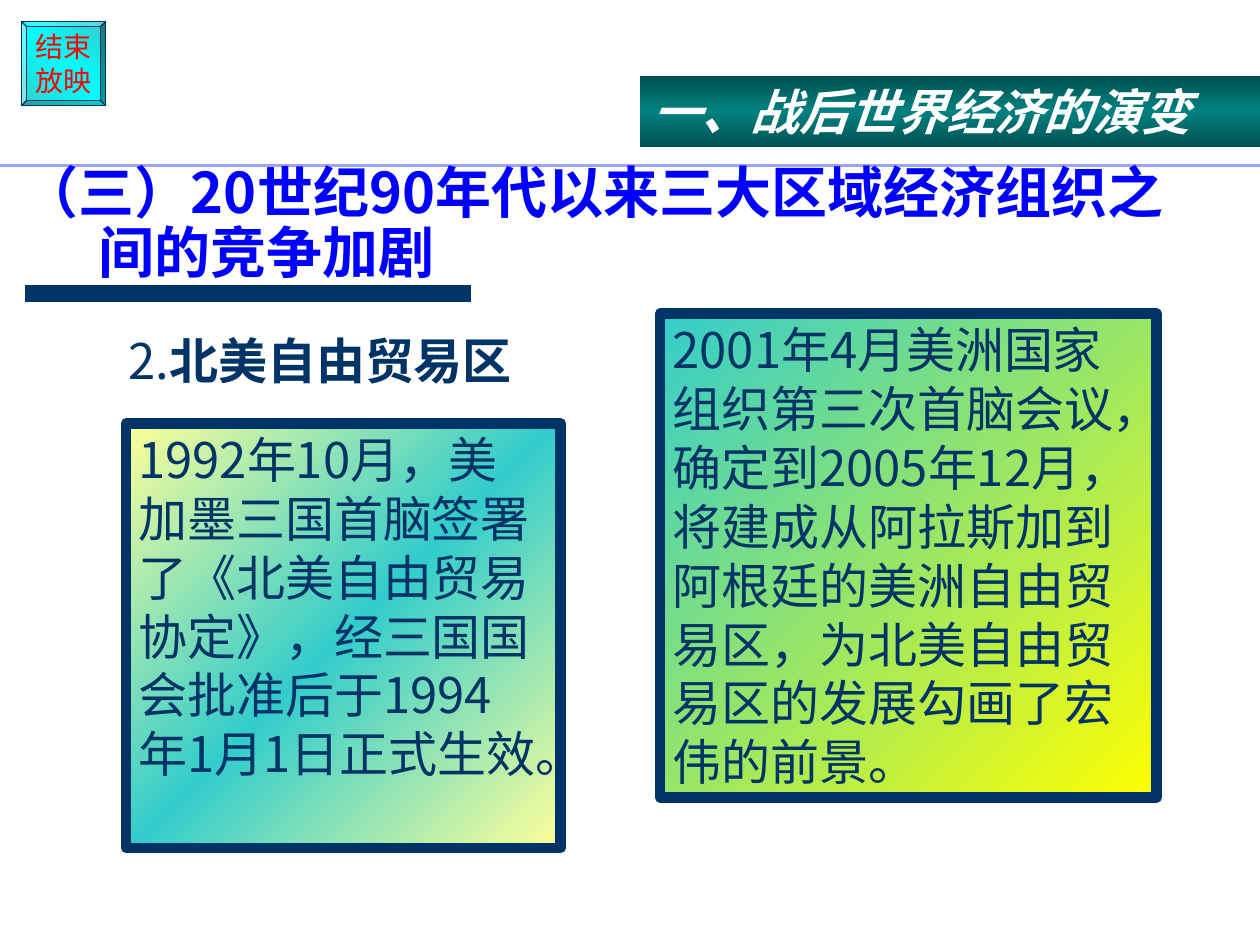
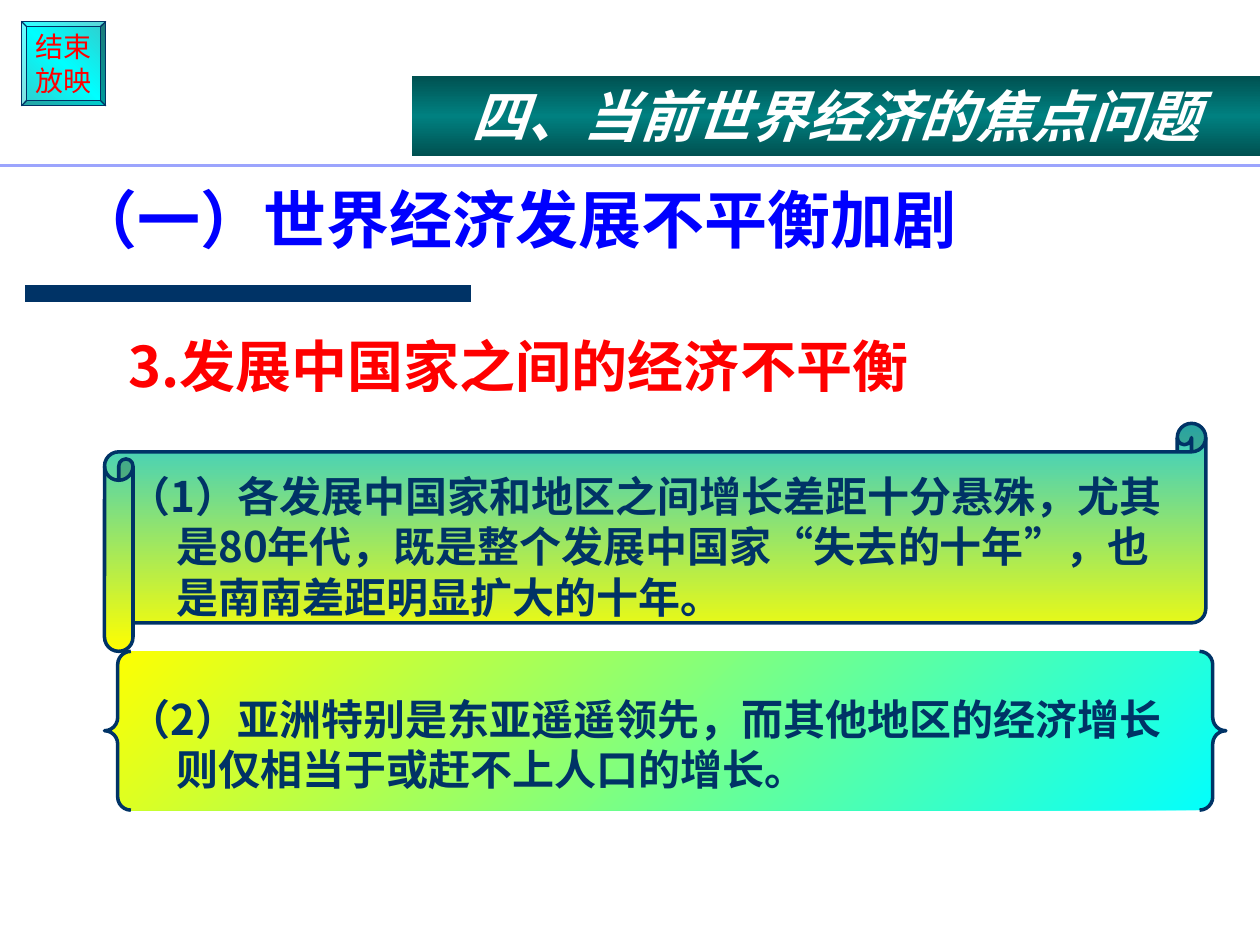
import lxml.etree
import pptx
import pptx.dml.color
import pptx.enum.shapes
import pptx.enum.text
import pptx.oxml
import pptx.oxml.ns
import pptx.util

Inches = pptx.util.Inches
RGBColor = pptx.dml.color.RGBColor
SHAPE = pptx.enum.shapes.MSO_SHAPE
ALIGN = pptx.enum.text.PP_ALIGN
ANCHOR = pptx.enum.text.MSO_ANCHOR
qn = pptx.oxml.ns.qn

NAVY = RGBColor(0x00, 0x33, 0x66)
BLUE = RGBColor(0x00, 0x00, 0xFF)
RED = RGBColor(0xFF, 0x00, 0x00)
WHITE = RGBColor(0xFF, 0xFF, 0xFF)
LAVENDER = RGBColor(0x9B, 0xA4, 0xFD)
TURQUOISE = RGBColor(0x33, 0xCC, 0xCC)
CYAN = RGBColor(0x00, 0xFF, 0xFF)
YELLOW = RGBColor(0xFF, 0xFF, 0x00)
CREAM = RGBColor(0xFF, 0xFF, 0x99)
TEAL = RGBColor(0x00, 0x80, 0x80)
DARK_TEAL = RGBColor(0x00, 0x51, 0x51)
FONT = "Noto Sans CJK SC"


def add_panel(slide, kind, box, colors, angle, line_width):
    """Add a preset shape with an evenly stepped gradient (angle clockwise)."""
    shape = slide.shapes.add_shape(kind, *[Inches(value) for value in box])
    shape.shadow.inherit = False
    shape.fill.gradient()
    gradient = shape._element.spPr.find(qn("a:gradFill"))
    stops = gradient.find(qn("a:gsLst"))
    for stop in list(stops):
        stops.remove(stop)
    for index, color in enumerate(colors):
        position = 100000 * index // (len(colors) - 1)
        stop = lxml.etree.SubElement(stops, qn("a:gs"), pos=str(position))
        lxml.etree.SubElement(stop, qn("a:srgbClr"), val=str(color))
    gradient.find(qn("a:lin")).set("ang", str(angle * 60000))
    if line_width:
        shape.line.color.rgb = NAVY
        shape.line.width = pptx.util.Pt(line_width)
    else:
        shape.line.fill.background()
    return shape


def format_paragraph(paragraph, size, color, bold=False, italic=False,
                     align=ALIGN.LEFT, hanging=0, font_name=FONT):
    paragraph.alignment = align
    properties = paragraph._p.get_or_add_pPr()
    properties.set("marL", str(Inches(hanging)))
    properties.set("indent", str(-Inches(hanging)))
    lxml.etree.SubElement(properties, qn("a:buNone"))
    font = paragraph.font
    font.name = font_name
    font.size = pptx.util.Pt(size)
    font.color.rgb = color
    font.bold = bold
    font.italic = italic
    latin = properties.find(".//" + qn("a:latin"))
    east_asian = latin.makeelement(qn("a:ea"), {"typeface": FONT})
    latin.addnext(east_asian)


# What differs between the slides
# panels: shape, box, gradient, angle, line width, adjustment, text
# paragraphs: regular text, bold text, size, colour, space before
SLIDES = [
    {
        "banner": ("一、战后世界经济的演变", 5.08, 0.57, 28, ALIGN.LEFT),
        "title": ("（三）20世纪90年代以来三大区域经济组织之\v间的竞争加剧",
                  (0.08, 1.23, 9.84, 1.09), 32, 0.6),
        "body_box": (0.92, 2.57, 4.67, 0.61),
        "paragraphs": [("2.", "北美自由贸易区", 28, NAVY, 7)],
        "panels": [
            (SHAPE.RECTANGLE, (1, 3.36, 3.45, 3.37), (CREAM, TURQUOISE, CREAM),
             225, 6, None,
             "1992年10月，美加墨三国首脑签署了《北美自由贸易协定》，"
             "经三国国会批准后于1994年1月1日正式生效。"),
            (SHAPE.RECTANGLE, (5.24, 2.49, 3.94, 3.84), (YELLOW, TURQUOISE),
             225, 6, None,
             "2001年4月美洲国家组织第三次首脑会议，确定到2005年12月，"
             "将建成从阿拉斯加到阿根廷的美洲自由贸易区，"
             "为北美自由贸易区的发展勾画了宏伟的前景。"),
        ],
    },
    {
        "banner": ("四、当前世界经济的焦点问题", 3.27, 0.64, 32, ALIGN.CENTER),
        "title": ("（一）世界经济发展不平衡加剧", (0.49, 1.29, 8.94, 0.8), 36, 0),
        "body_box": (0.92, 2.58, 8.41, 4.07),
        "paragraphs": [
            ("", "3.发展中国家之间的经济不平衡", 32, RED, 7),
            ("", "（1）各发展中国家和地区之间增长差距十分悬殊，尤其是80年代，"
             "既是整个发展中国家“失去的十年”，也是南南差距明显扩大的十年。",
             24, NAVY, 41),
            ("", "（2）亚洲特别是东亚遥遥领先，而其他地区的经济增长"
             "则仅相当于或赶不上人口的增长。", 24, NAVY, 41),
        ],
        "panels": [
            (SHAPE.DOUBLE_BRACE, (0.83, 5.17, 8.9, 1.26), (CYAN, YELLOW),
             225, 2, 0.083, ""),
            (SHAPE.HORIZONTAL_SCROLL, (0.83, 3.36, 8.74, 1.81),
             (TURQUOISE, YELLOW), 90, 2, 0.125, ""),
        ],
    },
]

presentation = pptx.Presentation()
presentation.slide_width = Inches(10)
presentation.slide_height = Inches(7.5)

for content in SLIDES:
    slide = presentation.slides.add_slide(presentation.slide_layouts[1])
    title, body = slide.placeholders[0], slide.placeholders[1]

    # Rules: thick bar under the title, thin line under the banner
    for left, right, top, color, width in [(0.2, 3.74, 2.33, NAVY, 10),
                                           (0, 10, 1.31, LAVENDER, 1.75)]:
        rule = slide.shapes.add_connector(
            pptx.enum.shapes.MSO_CONNECTOR.STRAIGHT,
            Inches(left), Inches(top), Inches(right), Inches(top))
        rule.line.color.rgb = color
        rule.line.width = pptx.util.Pt(width)
        lxml.etree.SubElement(rule._element.spPr, qn("a:effectLst"))

    # End-show button
    button = add_panel(slide, SHAPE.BEVEL, (0.17, 0.17, 0.67, 0.67),
                       (TURQUOISE, CYAN, TURQUOISE), 135, 0.75)
    button.adjustments[0] = 0.0625
    button.text_frame.text = "结束\n放映"
    button.text_frame.word_wrap = False
    button.text_frame.vertical_anchor = ANCHOR.MIDDLE
    for paragraph in button.text_frame.paragraphs:
        format_paragraph(paragraph, 16, RED, align=ALIGN.CENTER, font_name="Arial")

    # Gradient panels
    for kind, box, colors, angle, line_width, adjustment, text in content["panels"]:
        panel = add_panel(slide, kind, box, colors, angle, line_width)
        if adjustment:
            panel.adjustments[0] = adjustment
        if text:
            frame = panel.text_frame
            frame.text = text
            frame.word_wrap = True
            frame.vertical_anchor = ANCHOR.TOP
            frame.margin_right = Inches(0.2)
            format_paragraph(frame.paragraphs[0], 28, NAVY)

    # Chapter banner, running to the right edge
    text, left, height, size, align = content["banner"]
    banner = add_panel(slide, SHAPE.RECTANGLE, (left, 0.6, 10 - left, height),
                       (DARK_TEAL, TEAL, DARK_TEAL), 90, 0)
    banner.text_frame.text = text
    banner.text_frame.word_wrap = True
    banner.text_frame.vertical_anchor = ANCHOR.TOP
    format_paragraph(banner.text_frame.paragraphs[0], size, WHITE,
                     bold=True, italic=True, align=align)

    # Title and body, brought in front of the panels
    text, title_box, size, hanging = content["title"]
    for placeholder, box in [(title, title_box), (body, content["body_box"])]:
        placeholder.left, placeholder.top, placeholder.width, placeholder.height = [
            Inches(value) for value in box]
        placeholder.text_frame.auto_size = pptx.enum.text.MSO_AUTO_SIZE.NONE
        slide.shapes._spTree.append(placeholder._element)

    title.text_frame.text = text
    title.text_frame.vertical_anchor = ANCHOR.BOTTOM
    paragraph = title.text_frame.paragraphs[0]
    paragraph.line_spacing = 0.9
    format_paragraph(paragraph, size, BLUE, bold=True, hanging=hanging)

    for index, (regular, bold, size, color, space) in enumerate(content["paragraphs"]):
        frame = body.text_frame
        paragraph = frame.add_paragraph() if index else frame.paragraphs[0]
        paragraph.space_before = pptx.util.Pt(space)
        format_paragraph(paragraph, size, color, bold=not regular, hanging=0.38)
        if regular:
            paragraph.add_run().text = regular
        run = paragraph.add_run()
        run.text = bold
        if regular:
            run.font.bold = True

presentation.save("out.pptx")
